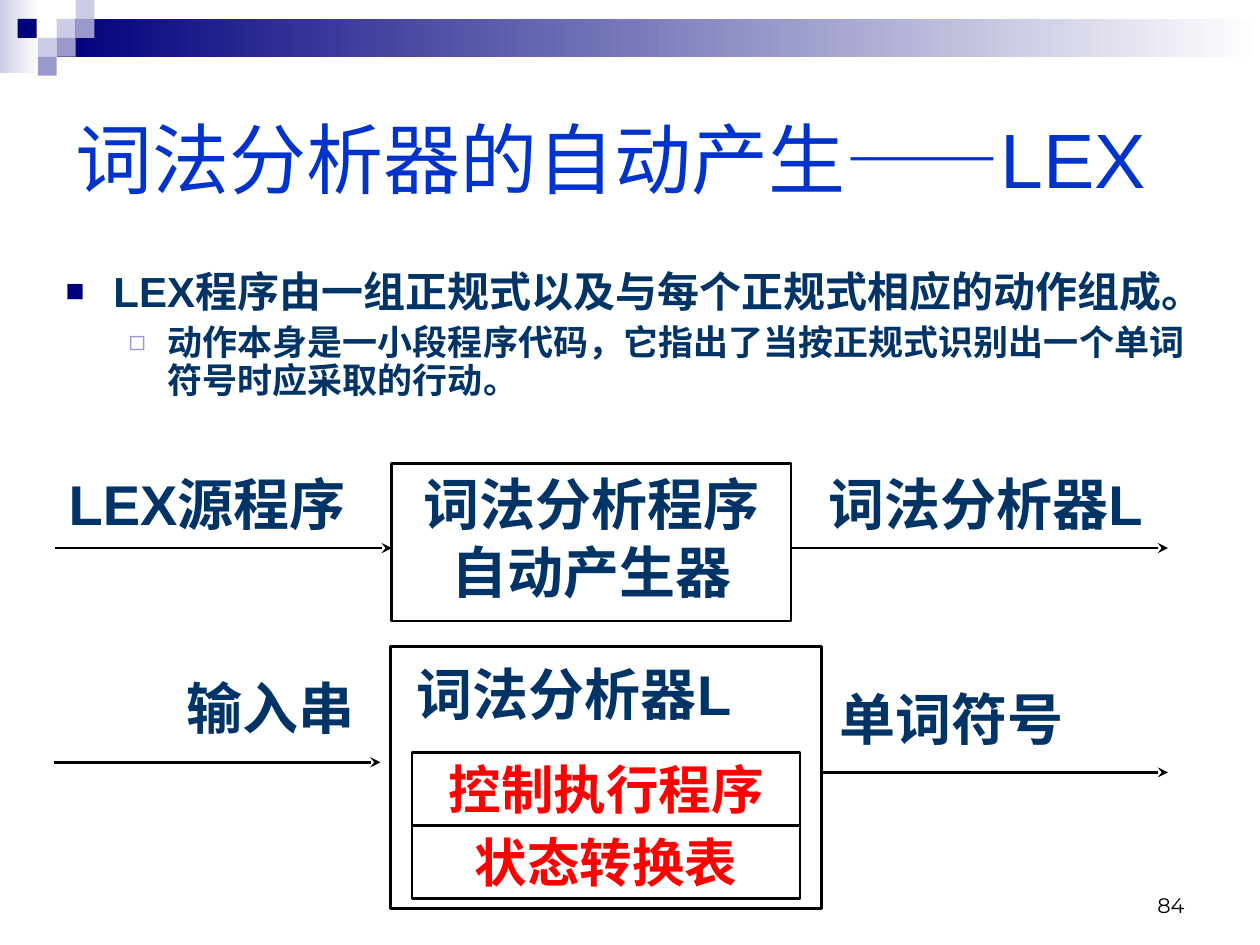
from dataclasses import dataclass

from lxml.etree import SubElement
from pptx import Presentation
from pptx.dml.color import RGBColor
from pptx.enum.shapes import MSO_CONNECTOR, MSO_SHAPE
from pptx.enum.text import MSO_ANCHOR as Anchor, MSO_AUTO_SIZE, PP_ALIGN as Align
from pptx.oxml.ns import qn
from pptx.util import Pt

PX = 9144  # 100 px to the inch


@dataclass(frozen=True)
class Theme:
    font: str = "Arial"
    number_font: str = "Montserrat"
    title: str = "0033CC"
    ink: str = "003366"
    accent: str = "FF0000"
    line: str = "000000"
    navy: str = "00007D"
    violet: str = "9999CC"
    pale: str = "CCCCE6"
    white: str = "FFFFFF"
    title_size: int = 44
    label_size: int = 32
    part_size: int = 30
    body_size: int = 24
    detail_size: int = 20
    number_size: int = 12
    line_width: float = 1.5


THEME = Theme()


def rgb(code):
    return RGBColor.from_string(code)


def px(*lengths):
    return [length * PX for length in lengths]


def place(shape, box):
    shape.left, shape.top, shape.width, shape.height = px(*box)


def style(paragraph, size, color, bold=True, font=THEME.font):
    for run in paragraph.runs:
        run.font.name, run.font.size, run.font.bold = font, Pt(size), bold
        run.font.color.rgb = rgb(color)


def write(shape, text, size=THEME.label_size, color=THEME.ink, align=Align.CENTER,
          anchor=Anchor.TOP, wrap=True, **look):
    frame = shape.text_frame
    frame.text, frame.word_wrap, frame.vertical_anchor = text, wrap, anchor
    paragraph = frame.paragraphs[0]
    paragraph.alignment = align
    style(paragraph, size, color, **look)
    return paragraph


def add_label(slide, box, text, **look):
    write(slide.shapes.add_textbox(*px(*box)), text, **look)


def add_rect(slide, box):
    rect = slide.shapes.add_shape(MSO_SHAPE.RECTANGLE, *px(*box))
    rect.shadow.inherit = False
    rect.fill.background()
    rect.line.fill.background()
    return rect


def add_frame(slide, box, text, **look):
    """Add an outlined box and return its paragraph."""
    frame = add_rect(slide, box)
    frame.line.color.rgb = rgb(THEME.line)
    frame.line.width = Pt(THEME.line_width)
    return write(frame, text, **look)


def add_arrow(slide, left, right, y):
    arrow = slide.shapes.add_connector(MSO_CONNECTOR.STRAIGHT, *px(left, y, right, y))
    arrow.line.color.rgb = rgb(THEME.line)
    arrow.line.width = Pt(THEME.line_width)
    SubElement(arrow.line._get_or_add_ln(), qn("a:tailEnd"), type="stealth")
    SubElement(arrow._element.spPr, qn("a:effectLst"))


def add_banner(slide, left, top):
    """Draw the two fading bands and the mosaic of small squares."""
    bands = [((0, 0, 31, 58), THEME.pale), ((45, 15, 955, 30), THEME.navy)]
    for (x, y, width, height), color in bands:
        fill = add_rect(slide, (left + x, top + y, width, height)).fill
        fill.gradient()
        fill.gradient_angle = 0
        for stop, position, shade in zip(fill.gradient_stops, (0, 1), (color, THEME.white)):
            stop.position, stop.color.rgb = position, rgb(shade)
    tile = 15
    tiles = [(45, 15, THEME.pale), (60, 0, THEME.pale), (60, 15, THEME.violet),
             (30, 30, THEME.pale), (14, 15, THEME.navy), (45, 30, THEME.violet),
             (30, 45, THEME.violet)]
    for x, y, color in tiles:
        fill = add_rect(slide, (left + x, top + y, tile, tile)).fill
        fill.solid()
        fill.fore_color.rgb = rgb(color)


def fill_title(title, box):
    place(title, box)
    write(title, "词法分析器的自动产生——LEX", THEME.title_size, THEME.title,
          Align.LEFT, Anchor.MIDDLE, bold=False)
    title.text_frame.auto_size = MSO_AUTO_SIZE.NONE


def add_bullet(paragraph, char, color, percent, margin, indent):
    props = paragraph._p.get_or_add_pPr()
    props.set("marL", str(margin * PX))
    props.set("indent", str(indent * PX))
    SubElement(SubElement(props, qn("a:buClr")), qn("a:srgbClr"), val=color)
    SubElement(props, qn("a:buSzPct"), val=str(percent * 1000))
    SubElement(props, qn("a:buFont"), typeface=THEME.font)
    SubElement(props, qn("a:buChar"), char=char)


def fill_body(body, box):
    place(body, box)
    frame = body.text_frame
    points = [
        ("LEX程序由一组正规式以及与每个正规式相应的动作组成。",
         THEME.body_size, 0, ("■", THEME.navy, 75, 38, -38)),
        ("动作本身是一小段程序代码，它指出了当按正规式识别出一个单词符号时应采取的行动。",
         THEME.detail_size, 5, ("◻", THEME.violet, 80, 81, -31)),
    ]
    frame.text = "\n".join(text for text, *_ in points)
    frame.word_wrap, frame.auto_size = True, MSO_AUTO_SIZE.NONE
    for level, (paragraph, point) in enumerate(zip(frame.paragraphs, points)):
        _, size, gap, bullet = point
        paragraph.level = level
        add_bullet(paragraph, *bullet)
        paragraph.line_spacing, paragraph.space_before = 0.9, Pt(gap)
        style(paragraph, size, THEME.ink)


def add_generator_flow(slide, left, top):
    """LEX source goes in, the analyser comes out."""
    arrow_y = top + 67
    add_frame(slide, (left + 267, top, 317, 125), "词法分析程序自动产生器")
    add_label(slide, (left - 17, top, 275, 67), "LEX源程序")
    add_label(slide, (left + 567, top, 342, 67), "词法分析器L")
    add_arrow(slide, left, left + 267, arrow_y)
    add_arrow(slide, left + 584, left + 883, arrow_y)


def add_analyser_flow(slide, left, top):
    """The input string goes in, word symbols come out."""
    heading = add_frame(slide, (left + 267, top, 342, 208), "词法分析器L", align=Align.LEFT)
    heading.line_spacing = 1.1
    heading._p.get_or_add_pPr().set("marL", str(11 * PX))
    part_height = 58
    for row, part in enumerate(("控制执行程序", "状态转换表")):
        add_frame(slide, (left + 284, top + 84 + row * part_height, 308, part_height), part,
                  size=THEME.part_size, color=THEME.accent, anchor=Anchor.MIDDLE, wrap=False)
    add_label(slide, (left + 34, top + 17, 275, 67), "输入串")
    add_label(slide, (left + 575, top + 25, 275, 67), "单词符号")
    add_arrow(slide, left, left + 259, top + 92)
    add_arrow(slide, left + 609, left + 884, top + 100)


def main():
    deck = Presentation()
    deck.slide_width, deck.slide_height = px(1000, 750)
    slide = deck.slides.add_slide(deck.slide_layouts[1])
    add_banner(slide, 0, 0)
    fill_title(slide.shapes.title, (50, 50, 900, 150))
    fill_body(slide.placeholders[1], (42, 210, 930, 143))
    add_generator_flow(slide, 44, 368)
    add_analyser_flow(slide, 43, 513)
    add_label(slide, (717, 683, 233, 50), "84", size=THEME.number_size, color=THEME.line,
              align=Align.RIGHT, anchor=Anchor.BOTTOM, bold=False, font=THEME.number_font)
    deck.save("out.pptx")


if __name__ == "__main__":
    main()
